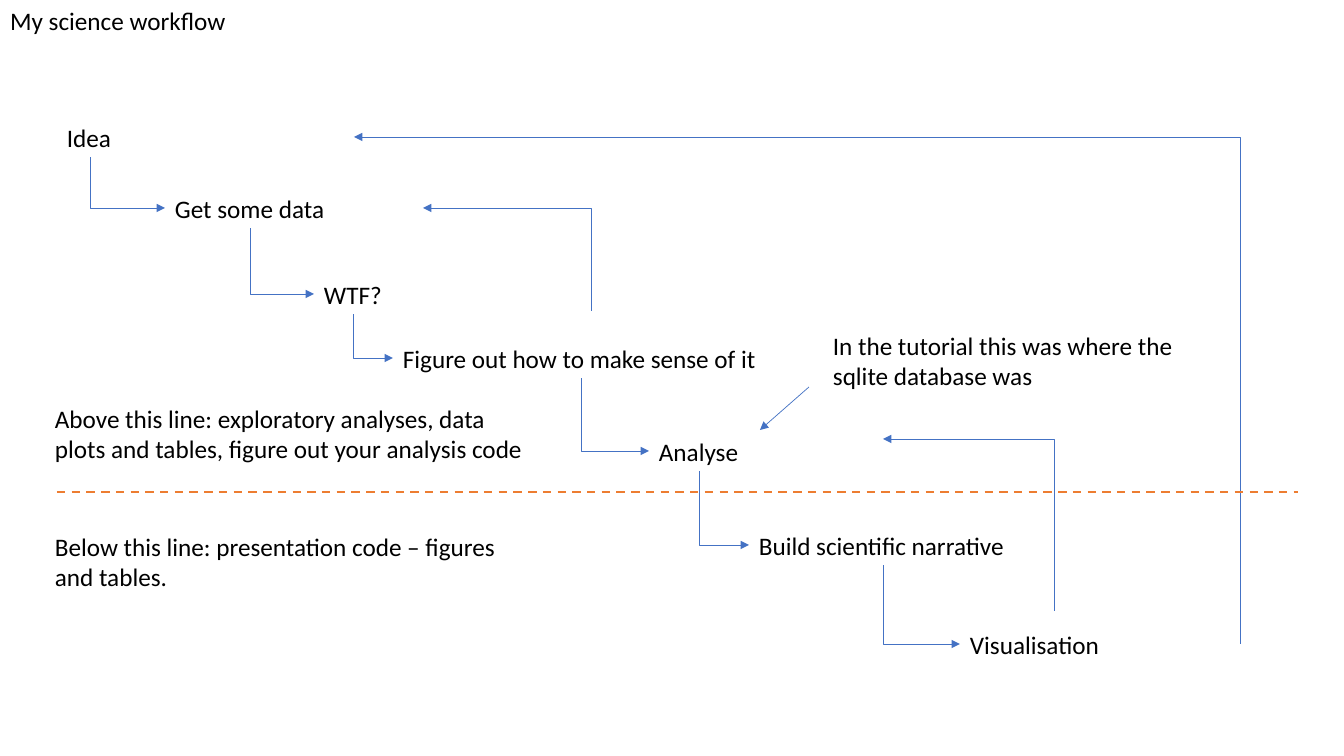
from dataclasses import dataclass
from itertools import pairwise

from lxml.etree import SubElement
from pptx import Presentation
from pptx.dml.color import RGBColor
from pptx.enum.dml import MSO_LINE
from pptx.enum.shapes import MSO_CONNECTOR
from pptx.enum.text import MSO_ANCHOR, MSO_AUTO_SIZE, PP_ALIGN
from pptx.oxml.ns import qn
from pptx.util import Emu, Pt

SCALE = 914400 / 100.8


@dataclass(frozen=True)
class Theme:
    font: str = "Calibri"
    size: int = 18
    ink: str = "000000"
    arrow: str = "4472C4"
    divider: str = "ED7D31"
    arrow_width: float = 0.5
    divider_width: float = 1.5


class WorkflowSlide:
    """Draws titles, text boxes and connectors on one slide in one style."""

    def __init__(self, page, theme):
        self.page = page
        self.theme = theme

    def lengths(self, *pixels):
        return [Emu(round(pixel * SCALE)) for pixel in pixels]

    def apply(self, target, values):
        for name, value in values.items():
            setattr(target, name, value)

    def fill_text(self, box, text, wrap, fit):
        frame = box.text_frame
        self.apply(frame, {"word_wrap": wrap, "auto_size": fit,
                           "vertical_anchor": MSO_ANCHOR.TOP})
        paragraph = frame.paragraphs[0]
        self.apply(paragraph, {"alignment": PP_ALIGN.LEFT, "line_spacing": 1.0})
        span = paragraph.add_run()
        span.text = text
        self.apply(span.font, {"name": self.theme.font, "size": Pt(self.theme.size)})
        span.font.color.rgb = RGBColor.from_string(self.theme.ink)

    def title(self, text, *bounds):
        box = self.page.shapes.title
        self.apply(box, dict(zip(("left", "top", "width", "height"), self.lengths(*bounds))))
        self.fill_text(box, text, True, MSO_AUTO_SIZE.NONE)

    def text(self, text, *bounds, wrap=True):
        box = self.page.shapes.add_textbox(*self.lengths(*bounds))
        self.fill_text(box, text, wrap, MSO_AUTO_SIZE.SHAPE_TO_FIT_TEXT)

    def connector(self, kind, points, color, width):
        connector = self.page.shapes.add_connector(kind, *self.lengths(*points))
        connector.line.color.rgb = RGBColor.from_string(color)
        connector.line.width = Pt(width)
        SubElement(connector._element.spPr, qn("a:effectLst"))
        return connector

    def arrow(self, tip, start, kind=MSO_CONNECTOR.STRAIGHT):
        connector = self.connector(kind, (*tip, *start), self.theme.arrow, self.theme.arrow_width)
        SubElement(connector.line._get_or_add_ln(), qn("a:headEnd"), type="triangle")
        return connector

    def elbow(self, tip, start):
        connector = self.arrow(tip, start, MSO_CONNECTOR.ELBOW)
        guides = connector._element.spPr.find(qn("a:prstGeom")).find(qn("a:avLst"))
        SubElement(guides, qn("a:gd"), name="adj1", fmla="val 100000")

    def divider(self, *points):
        connector = self.connector(MSO_CONNECTOR.STRAIGHT, points,
                                   self.theme.divider, self.theme.divider_width)
        connector.line.dash_style = MSO_LINE.DASH


STEP_HEIGHT = 40
NOTE_HEIGHT = 71
STEPS = [
    ("Idea", 57, 117, 66),
    ("Get some data", 165, 188, 171),
    ("WTF?", 314, 274, 79),
    ("Figure out how to make sense of it", 393, 338, 377),
    ("Analyse", 649, 431, 101),
    ("Build scientific narrative", 749, 525, 269),
    ("Visualisation", 960, 624, 151),
]
FEEDBACK = [
    ((883, 439), (1054, 611)),
    ((423, 208), (591, 311)),
    ((354, 137), (1240, 644)),
]
NOTES = [
    ("Above this line: exploratory analyses, data plots and tables, "
     "figure out your analysis code", 45, 398, 498),
    ("Below this line: presentation code – figures and tables.", 45, 526, 498),
    ("In the tutorial this was where the sqlite database was", 823, 325, 391),
]

deck = Presentation()
deck.slide_width, deck.slide_height = Emu(12192000), Emu(6858000)
slide = WorkflowSlide(deck.slides.add_slide(deck.slide_layouts[5]), Theme())

slide.title("My science workflow", 0, 0, 1298, STEP_HEIGHT)
for label, left, top, width in STEPS:
    slide.text(label, left, top, width, STEP_HEIGHT, wrap=False)
for (_, left, top, width), (_, next_left, next_top, _) in pairwise(STEPS):
    slide.elbow((next_left, next_top + STEP_HEIGHT // 2),
                (left + width // 2, top + STEP_HEIGHT))
for tip, start in FEEDBACK:
    slide.elbow(tip, start)
slide.divider(57, 492, 1298, 492)
for note, left, top, width in NOTES:
    slide.text(note, left, top, width, NOTE_HEIGHT)
slide.arrow((760, 430), (809, 387))

deck.save("out.pptx")
